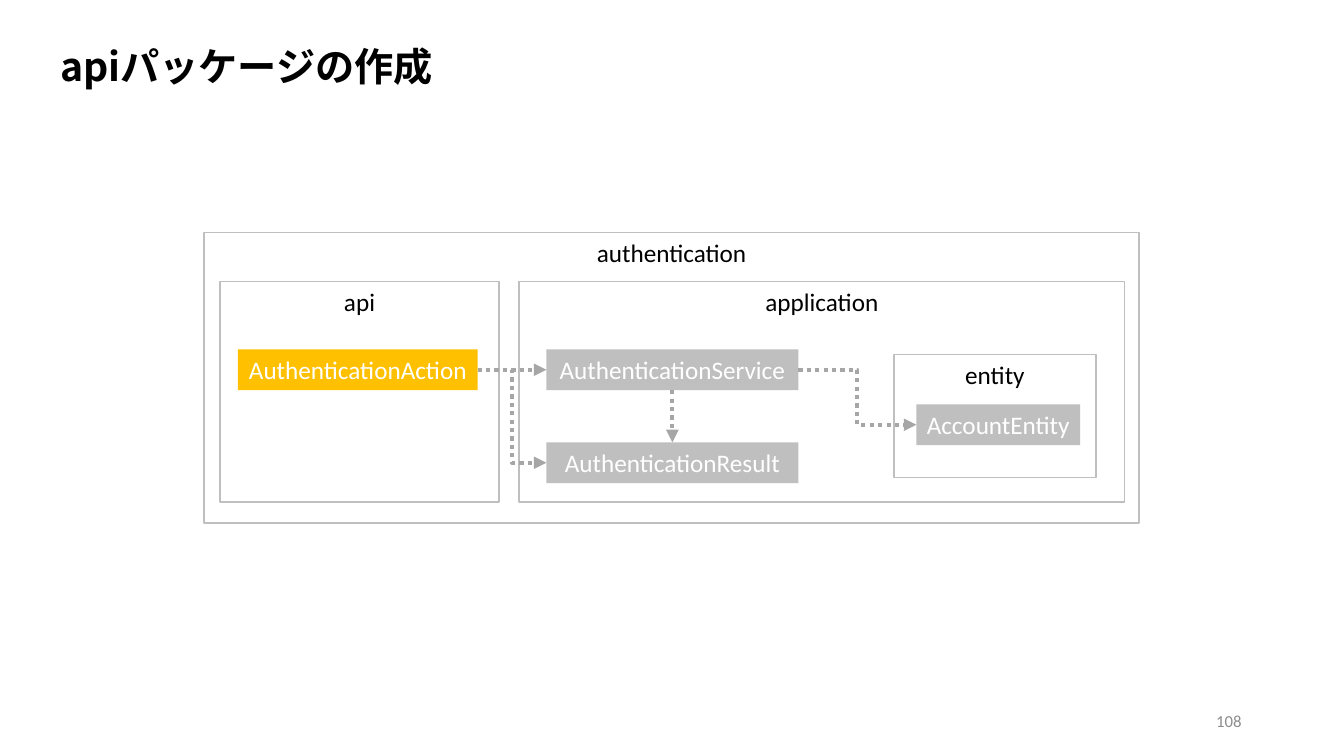
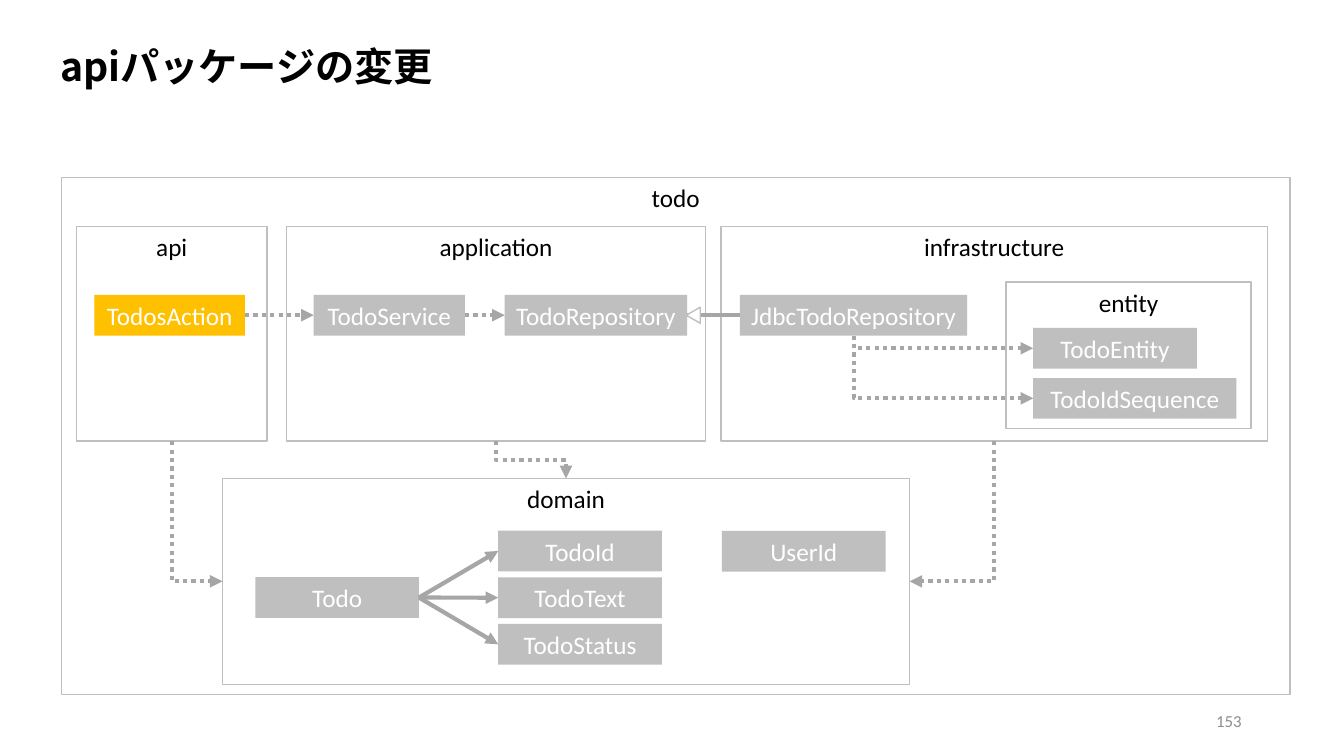
from lxml.etree import SubElement
from pptx import Presentation
from pptx.dml.color import RGBColor
from pptx.enum.dml import MSO_LINE
from pptx.enum.shapes import MSO_CONNECTOR, MSO_SHAPE
from pptx.enum.text import MSO_ANCHOR, PP_ALIGN
from pptx.oxml.ns import qn
from pptx.util import Pt

BLACK = RGBColor(0x00, 0x00, 0x00)
WHITE = RGBColor(0xFF, 0xFF, 0xFF)
SILVER = RGBColor(0xBF, 0xBF, 0xBF)
ARROW_GRAY = RGBColor(0xA6, 0xA6, 0xA6)
NUMBER_GRAY = RGBColor(0x8C, 0x8C, 0x8C)
AMBER = RGBColor(0xFF, 0xC0, 0x00)

LABEL_FONT = {"name": "Calibri", "size": Pt(18)}
TITLE_FONT = {"name": "Noto Sans CJK JP", "size": Pt(28), "bold": True}
NUMBER_FONT = {"name": "Calibri", "size": Pt(12)}
FRAME_TEXT = {"vertical_anchor": MSO_ANCHOR.TOP, "word_wrap": True}
CLASS_TEXT = {"vertical_anchor": MSO_ANCHOR.MIDDLE, "word_wrap": False}
NUMBER_TEXT = {"vertical_anchor": MSO_ANCHOR.MIDDLE, "word_wrap": True}
DOTTED = {"width": Pt(3), "dash_style": MSO_LINE.ROUND_DOT}
SOLID = {"width": Pt(3)}

TOP, LEFT, BOTTOM, RIGHT = range(4)
CLASS_HEIGHT = 29.1
CLASS_WIDTH = 116.9


def apply_format(target, values):
    for name, value in values.items():
        setattr(target, name, value)


def write(frame, text, font, color, align, layout):
    apply_format(frame, layout)
    paragraph = frame.paragraphs[0]
    paragraph.alignment = align
    run = paragraph.add_run()
    run.text = text
    apply_format(run.font, font)
    run.font.color.rgb = color
    return run


def add_text(slide, text, place, font, color, align, layout):
    box = slide.shapes.add_textbox(*map(Pt, place))
    return write(box.text_frame, text, font, color, align, layout)


def add_page(prs, title, number):
    slide = prs.slides.add_slide(prs.slide_layouts[6])
    heading = add_text(slide, title, (36, 26.6, 662, 41), TITLE_FONT, BLACK,
                       PP_ALIGN.LEFT, FRAME_TEXT)
    SubElement(heading.font._element, qn("a:ea"), typeface=TITLE_FONT["name"])
    add_text(slide, number, (678, 500.5, 216, 28.8), NUMBER_FONT, NUMBER_GRAY,
             PP_ALIGN.RIGHT, NUMBER_TEXT)
    return slide


def add_package(slide, name, left, top, width, height):
    package = slide.shapes.add_shape(
        MSO_SHAPE.RECTANGLE, Pt(left), Pt(top), Pt(width), Pt(height))
    package.shadow.inherit = False
    package.fill.background()
    package.line.color.rgb = SILVER
    package.line.width = Pt(1)
    write(package.text_frame, name, LABEL_FONT, BLACK, PP_ALIGN.CENTER, FRAME_TEXT)
    return package


def add_class(slide, name, left, top, width=CLASS_WIDTH, color=SILVER):
    box = slide.shapes.add_shape(
        MSO_SHAPE.RECTANGLE, Pt(left), Pt(top), Pt(width), Pt(CLASS_HEIGHT))
    box.shadow.inherit = False
    box.fill.solid()
    box.fill.fore_color.rgb = color
    box.line.fill.background()
    write(box.text_frame, name, LABEL_FONT, WHITE, PP_ALIGN.CENTER, CLASS_TEXT)
    return box


def side_point(box, side):
    across = {LEFT: 0, RIGHT: box.width}.get(side, box.width // 2)
    down = {TOP: 0, BOTTOM: box.height}.get(side, box.height // 2)
    return box.left + across, box.top + down


def add_link(slide, source, source_side, target, target_side,
             style=DOTTED, kind=MSO_CONNECTOR.STRAIGHT, head=True):
    link = slide.shapes.add_connector(
        kind, *side_point(source, source_side), *side_point(target, target_side))
    link.begin_connect(source, source_side)
    link.end_connect(target, target_side)
    link.line.color.rgb = ARROW_GRAY
    apply_format(link.line, style)
    properties = link.element.spPr
    if head:
        SubElement(properties.find(qn("a:ln")), qn("a:tailEnd"), type="triangle")
    SubElement(properties, qn("a:effectLst"))
    return link


def add_elbow(slide, source, source_side, target, target_side):
    link = add_link(slide, source, source_side, target, target_side,
                    kind=MSO_CONNECTOR.ELBOW)
    if source_side == BOTTOM:
        turn_downward(link, target_side)


def turn_downward(link, target_side):
    rightward = link.end_x > link.begin_x
    left, top, width, height = link.left, link.top, link.width, link.height
    apply_format(link, {
        "left": left + (width - height) // 2,
        "top": top + (height - width) // 2,
        "width": height,
        "height": width,
    })
    frame = link.element.spPr.find(qn("a:xfrm"))
    frame.set("rot", str((270 if rightward else 90) * 60000))
    frame.set("flipH", "1" if rightward else "0")
    if target_side != TOP:
        link.element.spPr.find(qn("a:prstGeom")).set("prst", "bentConnector2")


def add_inheritance(slide, child, parent):
    add_link(slide, child, LEFT, parent, RIGHT, SOLID, head=False)
    tip_x, tip_y = side_point(parent, RIGHT)
    width, height = Pt(11.5), Pt(10)
    tip = slide.shapes.add_shape(
        MSO_SHAPE.ISOSCELES_TRIANGLE, tip_x + (height - width) // 2 - Pt(0.7),
        tip_y - height // 2, width, height)
    tip.rotation = 270
    tip.shadow.inherit = False
    tip.fill.solid()
    tip.fill.fore_color.rgb = WHITE
    tip.line.color.rgb = SILVER
    tip.line.width = Pt(1)


def build_authentication(prs):
    slide = add_page(prs, "apiパッケージの作成", "108")
    add_package(slide, "authentication", 145.7, 166, 668, 207.7)
    add_package(slide, "application", 370.7, 201, 432.8, 157.7)
    add_package(slide, "api", 157, 201, 199.6, 157.7)
    add_package(slide, "entity", 638.5, 253.2, 144.4, 88)

    action = add_class(slide, "AuthenticationAction", 170, 249.6, 171.2, AMBER)
    service = add_class(slide, "AuthenticationService", 390.3, 249.6, 180)
    result = add_class(slide, "AuthenticationResult", 390.3, 316, 180)
    account = add_class(slide, "AccountEntity", 654.6, 288.8)

    add_link(slide, action, RIGHT, service, LEFT)
    add_link(slide, service, BOTTOM, result, TOP)
    add_elbow(slide, service, RIGHT, account, LEFT)
    add_elbow(slide, action, RIGHT, result, LEFT)


def build_todo(prs):
    slide = add_page(prs, "apiパッケージの変更", "153")
    add_package(slide, "todo", 43.9, 127, 877.6, 369.2)
    api, application, infrastructure = [
        add_package(slide, name, left, 162, width, 153.1)
        for name, left, width in (("api", 54.7, 136),
                                  ("application", 204.6, 299.4),
                                  ("infrastructure", 515, 390.3))]
    domain = add_package(slide, "domain", 158.9, 341.7, 490.8, 147.1)
    add_package(slide, "entity", 718.7, 201.4, 175, 104.6)

    action, service, repository, jdbc = [
        add_class(slide, name, left, 210.6, width, color)
        for name, left, width, color in (
            ("TodosAction", 67.4, 107.6, AMBER),
            ("TodoService", 224.1, 108, SILVER),
            ("TodoRepository", 360.5, 130.4, SILVER),
            ("JdbcTodoRepository", 528.6, 162.3, SILVER))]
    entity = add_class(slide, "TodoEntity", 738, 234.2)
    sequence = add_class(slide, "TodoIdSequence", 738, 270, 145.2)
    todo = add_class(slide, "Todo", 182.4, 412.3)
    parts = [add_class(slide, name, 355.9, 379 + 33.35 * row)
             for row, name in enumerate(("TodoId", "TodoText", "TodoStatus"))]
    add_class(slide, "UserId", 515.7, 379.2)

    add_link(slide, action, RIGHT, service, LEFT)
    add_link(slide, service, RIGHT, repository, LEFT)
    add_inheritance(slide, jdbc, repository)
    for part in parts:
        add_link(slide, todo, RIGHT, part, LEFT, SOLID)
    for source, target, side in ((jdbc, entity, LEFT), (jdbc, sequence, LEFT),
                                 (api, domain, LEFT), (application, domain, TOP),
                                 (infrastructure, domain, RIGHT)):
        add_elbow(slide, source, BOTTOM, target, side)


def main():
    prs = Presentation()
    apply_format(prs, {"slide_width": Pt(960), "slide_height": Pt(540)})
    build_authentication(prs)
    build_todo(prs)
    prs.save("out.pptx")


if __name__ == "__main__":
    main()
